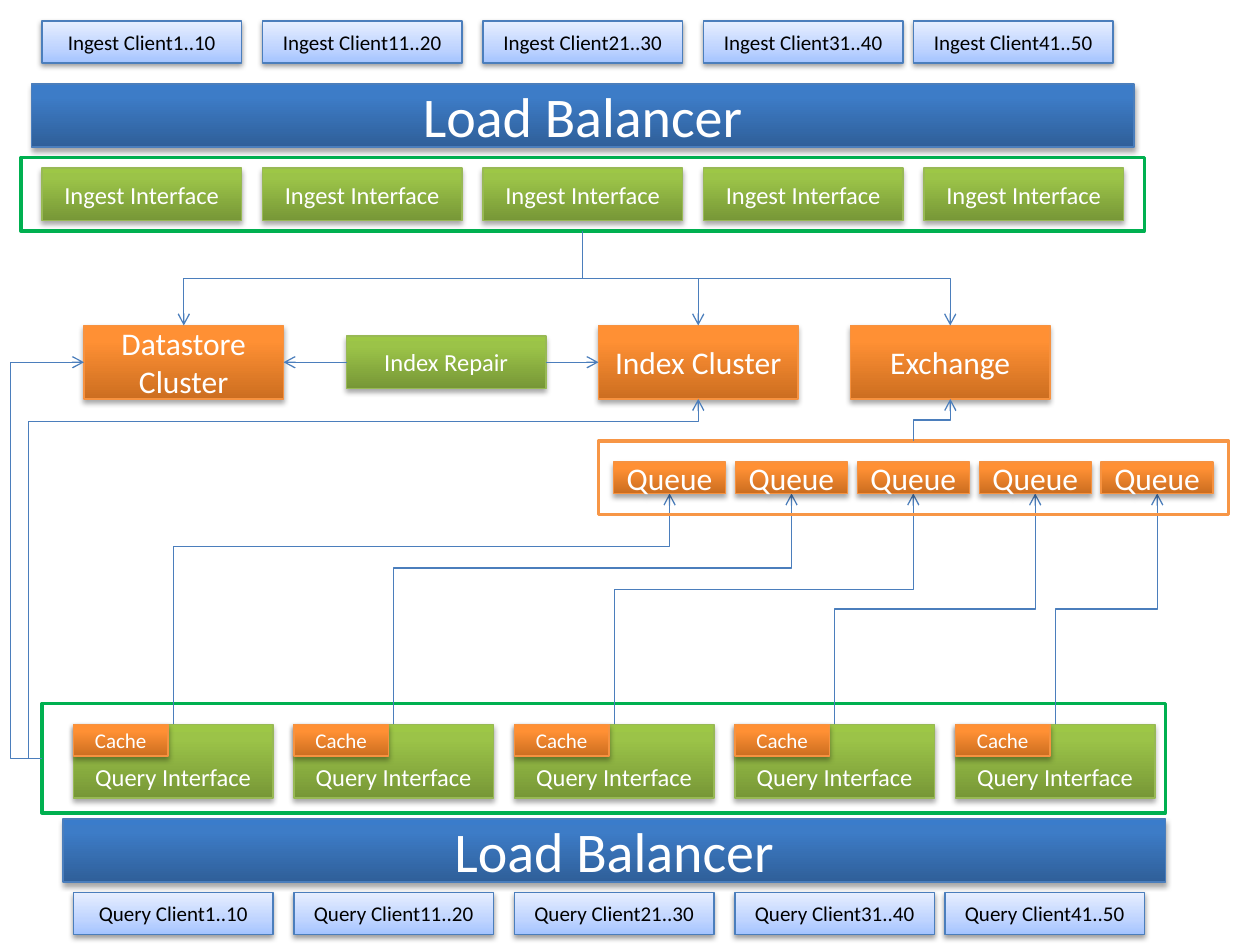
"""Build the ingest and query architecture slide."""
from lxml import etree
from pptx import Presentation
from pptx.dml.color import RGBColor
from pptx.enum.shapes import MSO_CONNECTOR, MSO_SHAPE
from pptx.enum.text import MSO_ANCHOR, PP_ALIGN
from pptx.oxml import parse_xml
from pptx.oxml.ns import nsdecls, qn
from pptx.util import Pt

COLORS = {"line": "4B7EBC", "frame": "00B050", "queues": "F79646",
          "white": "FFFFFF", "black": "000000"}
STYLES = {
    "green": {"stops": [(0, "779737"), (80, "9BC348"), (100, "9DC746")],
              "line": "98B955", "text": "white", "shadow": (1.8, 35)},
    "blue": {"stops": [(0, "2F5F99"), (80, "3D7CC7"), (100, "3A7CCB")],
             "line": "4B7EBC", "text": "white", "shadow": (1.8, 35)},
    "pale": {"stops": [(0, "A4C4FF"), (35, "BFD4FF"), (100, "E6EEFF")],
             "line": "4B7EBC", "text": "black", "shadow": (1.6, 38)},
    "orange": {"stops": [(0, "CC6E20"), (80, "FF9034"), (100, "FF9136")],
               "line": "F69240", "text": "white", "shadow": (1.8, 35)},
}
RANGES = ["1..10", "11..20", "21..30", "31..40", "41..50"]
INGEST_LEFT, QUERY_LEFT, COLUMN_PITCH, BOX_WIDTH = 24, 42, 126, 114
QUEUE_LEFT, QUEUE_PITCH, QUEUE_WIDTH = 350.6, 69.66, 64
LAST_CLIENT_SHIFT = 6

FRAMES = [(24, 402, 642, 62.5), (12, 90, 642, 42)]
BALANCERS = [(18, 48, 630, 36), (36, 468, 630, 36)]
STORES = [("Exchange", 486), ("Datastore Cluster", 48), ("Index Cluster", 342)]
BUS_TARGETS = [105, 399, 543]
QUEUE_BENDS = [0.769, 0.677, 0.585, 0.5, 0.5]


def add_box(shapes, text, place, style_name, size, anchor=MSO_ANCHOR.MIDDLE):
    style = STYLES[style_name]
    box = shapes.add_shape(MSO_SHAPE.RECTANGLE, *map(Pt, place))
    box.line.color.rgb = RGBColor.from_string(style["line"])
    box.line.width = Pt(0.75)
    stops = "".join(
        f'<a:gs pos="{position * 1000}"><a:srgbClr val="{color}"/></a:gs>'
        for position, color in style["stops"])
    properties = box._element.spPr
    properties.find(qn("a:prstGeom")).addnext(parse_xml(
        f'<a:gradFill {nsdecls("a")} rotWithShape="1"><a:gsLst>{stops}</a:gsLst>'
        '<a:lin ang="16200000" scaled="0"/></a:gradFill>'))
    distance, opacity = style["shadow"]
    properties.append(parse_xml(
        f'<a:effectLst {nsdecls("a")}><a:outerShdw blurRad="{Pt(3.1)}" '
        f'dist="{Pt(distance)}" dir="5400000" rotWithShape="0">'
        f'<a:srgbClr val="000000"><a:alpha val="{opacity * 1000}"/></a:srgbClr>'
        '</a:outerShdw></a:effectLst>'))
    frame = box.text_frame
    frame.word_wrap = True
    frame.vertical_anchor = anchor
    para = frame.paragraphs[0]
    para.text = text
    para.alignment = PP_ALIGN.CENTER
    para.font.name = "Calibri"
    para.font.size = Pt(size)
    para.font.color.rgb = RGBColor.from_string(COLORS[style["text"]])


def add_frame(shapes, place, color):
    frame = shapes.add_shape(MSO_SHAPE.RECTANGLE, *map(Pt, place))
    frame.shadow.inherit = False
    frame.fill.background()
    frame.line.color.rgb = RGBColor.from_string(COLORS[color])
    frame.line.width = Pt(2)


def add_arrow(shapes, start, end, bends=(), vertical=False):
    kind = MSO_CONNECTOR.ELBOW if bends else MSO_CONNECTOR.STRAIGHT
    arrow = shapes.add_connector(kind, *map(Pt, start + end))
    arrow.line.color.rgb = RGBColor.from_string(COLORS["line"])
    arrow.line.width = Pt(0.75)
    properties = arrow._element.spPr
    properties.append(parse_xml(f'<a:effectLst {nsdecls("a")}/>'))
    etree.SubElement(arrow.line._get_or_add_ln(), qn("a:tailEnd"), type="arrow")
    if bends:
        geometry = properties.find(qn("a:prstGeom"))
        geometry.set("prst", f"bentConnector{len(bends) + 2}")
        guides = geometry.get_or_add_avLst()
        for number, bend in enumerate(bends, 1):
            etree.SubElement(guides, qn("a:gd"), name=f"adj{number}",
                             fmla=f"val {round(bend * 100000)}")
    if vertical:
        turn_arrow(arrow, start, end)


def turn_arrow(arrow, start, end):
    across, down = end[0] - start[0], end[1] - start[1]
    width, height = abs(down), abs(across)
    arrow.left = Pt((start[0] + end[0] - width) / 2)
    arrow.top = Pt((start[1] + end[1] - height) / 2)
    arrow.width, arrow.height = Pt(width), Pt(height)
    transform = arrow._element.spPr.find(qn("a:xfrm"))
    transform.set("rot", str((270 if across > 0 and down > 0 else 90) * 60000))
    transform.set("flipH", str(int(across > 0)))
    transform.set("flipV", str(int(down < 0)))


deck = Presentation()
deck.slide_width, deck.slide_height = Pt(720), Pt(540)
page = deck.slides.add_slide(deck.slide_layouts[6])
shapes = page.shapes

for place in FRAMES:
    add_frame(shapes, place, "frame")
for place in BALANCERS:
    add_box(shapes, "Load Balancer", place, "blue", 32)
for name, left in STORES:
    add_box(shapes, name, (left, 186, BOX_WIDTH, 42), "orange", 18)
add_box(shapes, "Index Repair", (198, 192, BOX_WIDTH, 30), "green", 14)

for column, numbers in enumerate(RANGES):
    ingest = INGEST_LEFT + column * COLUMN_PITCH
    query = QUERY_LEFT + column * COLUMN_PITCH
    shift = LAST_CLIENT_SHIFT if column == len(RANGES) - 1 else 0
    add_box(shapes, f"Ingest Client{numbers}",
            (ingest - shift, 12, BOX_WIDTH, 24), "pale", 12)
    add_box(shapes, "Ingest Interface", (ingest, 96, BOX_WIDTH, 30), "green", 14)
    add_box(shapes, f"Query Client{numbers}",
            (query - shift, 510, BOX_WIDTH, 24), "pale", 12)
    add_box(shapes, "Query Interface", (query, 414, BOX_WIDTH, 42), "green", 14,
            MSO_ANCHOR.BOTTOM)
    add_box(shapes, "Cache", (query, 414, 54, 18), "orange", 12)

for column, bend in enumerate(QUEUE_BENDS):
    query_center = QUERY_LEFT + column * COLUMN_PITCH + BOX_WIDTH / 2
    queue_center = QUEUE_LEFT + column * QUEUE_PITCH + QUEUE_WIDTH / 2
    add_arrow(shapes, (query_center, 414), (queue_center, 282), [bend], True)

queues = shapes.add_group_shape().shapes
for column in range(len(QUEUE_BENDS)):
    add_box(queues, "Queue", (QUEUE_LEFT + column * QUEUE_PITCH, 264,
                              QUEUE_WIDTH, 18), "orange", 18)
add_frame(queues, (342, 252, 360, 42), "queues")

for center in BUS_TARGETS:
    add_arrow(shapes, (333, 132), (center, 186), [0.5], True)
add_arrow(shapes, (522, 252), (543, 228), [0.5], True)
add_arrow(shapes, (198, 207), (162, 207))
add_arrow(shapes, (312, 207), (342, 207))
add_arrow(shapes, (24, 433.5), (48, 207), [-0.75])
add_arrow(shapes, (24, 433.5), (399, 228), [-0.021, 0.937])

deck.save("out.pptx")
